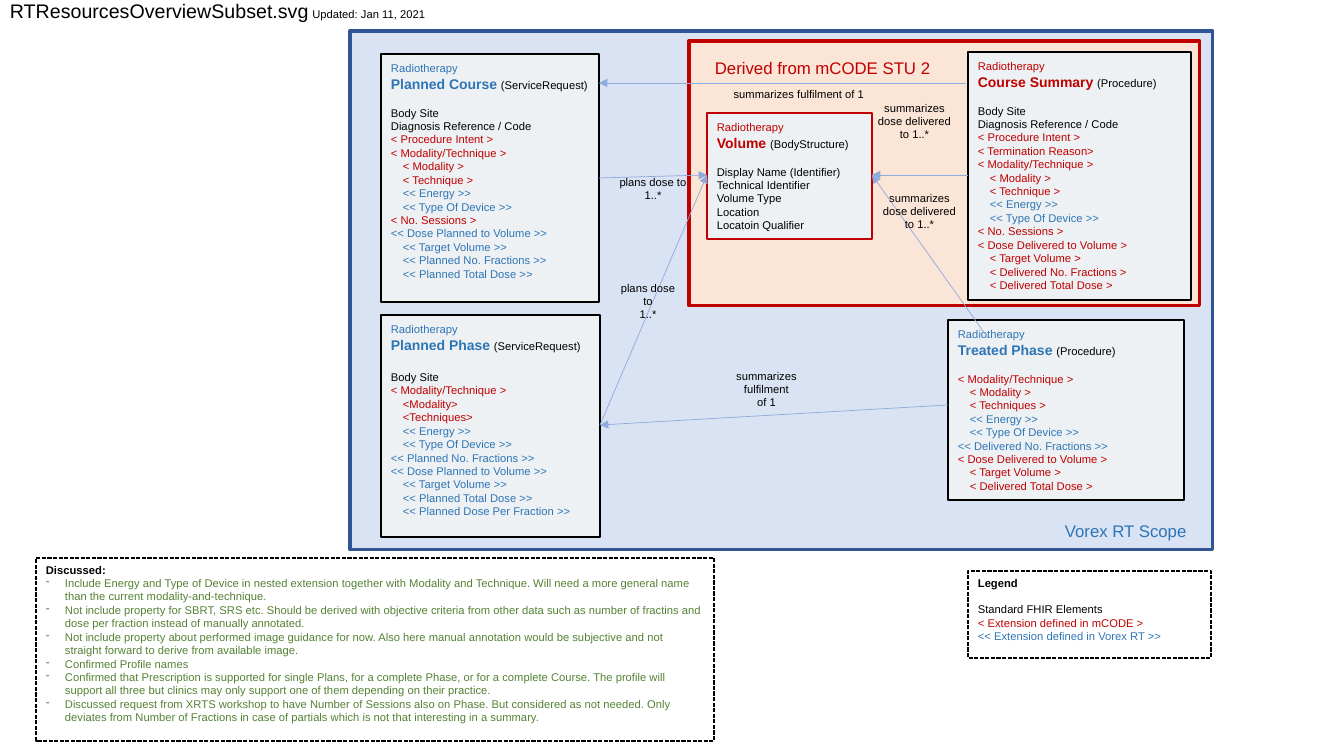
from lxml.etree import SubElement
from pptx import Presentation
from pptx.dml.color import RGBColor
from pptx.enum.dml import MSO_LINE
from pptx.enum.shapes import MSO_CONNECTOR, MSO_SHAPE
from pptx.enum.text import MSO_ANCHOR, PP_ALIGN
from pptx.oxml.ns import qn
from pptx.util import Pt

EMU_PER_PIXEL = 914400 / 100.8
BLACK = RGBColor(0x00, 0x00, 0x00)
RED = RGBColor(0xC0, 0x00, 0x00)
BLUE = RGBColor(0x2E, 0x75, 0xB6)
GREEN = RGBColor(0x54, 0x82, 0x35)
NAVY = RGBColor(0x2F, 0x55, 0x97)
ARROW_BLUE = RGBColor(0x8F, 0xAA, 0xDC)
SCOPE_FILL = RGBColor(0xDA, 0xE3, 0xF3)
DERIVED_FILL = RGBColor(0xFB, 0xE5, 0xD6)
CARD_FILL = RGBColor(0xED, 0xF1, 0xF3)

RESOURCES = [
    ((381, 54, 218, 248), "Planned Course ", "(ServiceRequest)", BLUE, BLACK, 9.5, """\
Body Site
Diagnosis Reference / Code
< Procedure Intent >
< Modality/Technique >
  < Modality >
  < Technique >
  << Energy >>
  << Type Of Device >>
< No. Sessions >
<< Dose Planned to Volume >>
  << Target Volume >>
  << Planned No. Fractions >>
  << Planned Total Dose >>"""),
    ((968, 52, 223, 248), "Course Summary ", "(Procedure)", RED, BLACK, 9.5, """\
Body Site
Diagnosis Reference / Code
< Procedure Intent >
< Termination Reason>
< Modality/Technique >
  < Modality >
  < Technique >
  << Energy >>
  << Type Of Device >>
< No. Sessions >
< Dose Delivered to Volume >
  < Target Volume >
  < Delivered No. Fractions >
  < Delivered Total Dose >"""),
    ((948, 320, 236, 180), "Treated Phase ", "(Procedure)", BLUE, BLACK, 9.5, """\
< Modality/Technique >
  < Modality >
  < Techniques >
  << Energy >>
  << Type Of Device >>
<< Delivered No. Fractions >>
< Dose Delivered to Volume >
  < Target Volume >
  < Delivered Total Dose >"""),
    ((381, 315, 219, 222), "Planned Phase ", "(ServiceRequest)", BLUE, BLACK, 12, """\
Body Site
< Modality/Technique >
  <Modality>
  <Techniques>
  << Energy >>
  << Type Of Device >>
<< Planned No. Fractions >>
<< Dose Planned to Volume >>
  << Target Volume >>
  << Planned Total Dose >>
  << Planned Dose Per Fraction >>"""),
    ((707, 113, 165, 126), "Volume ", "(BodyStructure)", RED, RED, 9.5, """\
Display Name (Identifier)
Technical Identifier
Volume Type
Location
Locatoin Qualifier"""),
]
RELATIONS = [
    (966, 83, 599, 83), (968, 175, 872, 175), (988, 338, 872, 175),
    (600, 425, 707, 175), (599, 178, 707, 175), (948, 405, 600, 425),
]
RELATION_LABELS = [
    ((713, 82, 172, 24), "summarizes fulfilment of 1"),
    ((870, 186, 99, 50), "summarizes dose delivered to 1..*"),
    ((865, 96, 99, 50), "summarizes dose delivered to 1..*"),
    ((606, 276, 84, 50), "plans dose to\n1..*"),
    ((609, 170, 88, 37), "plans dose to\n1..*"),
    ((717, 364, 99, 50), "summarizes fulfilment\nof 1"),
]
DECISIONS = [
    "Include Energy and Type of Device in nested extension together with Modality and "
    "Technique. Will need a more general name than the current modality-and-technique.",
    "Not include property for SBRT, SRS etc. Should be derived with objective criteria from "
    "other data such as number of fractins and dose per fraction instead of manually annotated.",
    "Not include property about performed image guidance for now. Also here manual annotation "
    "would be subjective and not straight forward to derive from available image.",
    "Confirmed Profile names",
    "Confirmed that Prescription is supported for single Plans, for a complete Phase, or for a "
    "complete Course. The profile will support all three but clinics may only support one of "
    "them depending on their practice.",
    "Discussed request from XRTS workshop to have Number of Sessions also on Phase. But "
    "considered as not needed. Only deviates from Number of Fractions in case of partials "
    "which is not that interesting in a summary.",
]
LEGEND = """\
Standard FHIR Elements
< Extension defined in mCODE >
<< Extension defined in Vorex RT >>"""


def px(*lengths):
    """Turn pixel lengths into a list of EMU."""
    return [round(length * EMU_PER_PIXEL) for length in lengths]


def write(frame, text, *, size=8, color=BLACK, bold=False, align=PP_ALIGN.LEFT, before=0,
          after=0, spacing=None, indent=0, bullet=None, joined=False):
    """Write a formatted paragraph, or join the text to the last one."""
    paragraph = frame.paragraphs[-1]
    if not joined:
        if paragraph.runs:
            paragraph = frame.add_paragraph()
        paragraph.alignment = align
        paragraph.space_before, paragraph.space_after = Pt(before), Pt(after)
        if spacing:
            paragraph.line_spacing = spacing
        properties = paragraph._p.get_or_add_pPr()
        margin = px(indent)[0]
        properties.set("marL", str(margin))
        properties.set("indent", str(-margin if bullet else 0))
        if bullet:
            SubElement(properties, qn("a:buChar")).set("char", bullet)
    run = paragraph.add_run()
    run.text = text
    run.font.name, run.font.size, run.font.bold = "Arial", Pt(size), bold
    run.font.color.rgb = color


def write_elements(frame, elements, gap):
    """Write element lines, coloured by the brackets that mark their origin."""
    for number, line in enumerate(elements.split("\n")):
        name = line.strip()
        color = BLUE if name.startswith("<<") else RED if name.startswith("<") else BLACK
        write(frame, name, color=color, indent=12 if line.startswith(" ") else 0,
              before=0 if number else gap)


def add_panel(slide, box, border, *, fill=None, width=1, dash=None):
    """Add a bordered rectangle and return its text frame."""
    panel = slide.shapes.add_shape(MSO_SHAPE.RECTANGLE, *px(*box))
    panel.shadow.inherit = False
    if fill is None:
        panel.fill.background()
    else:
        panel.fill.solid()
        panel.fill.fore_color.rgb = fill
    panel.line.color.rgb, panel.line.width = border, Pt(width)
    if dash:
        panel.line.dash_style = dash
    panel.text_frame.word_wrap = True
    panel.text_frame.vertical_anchor = MSO_ANCHOR.TOP
    return panel.text_frame


def add_resource(slide, box, title, kind, accent, border, gap, elements):
    """Add a resource card with its heading and elements."""
    card = add_panel(slide, box, border, fill=CARD_FILL)
    write(card, "Radiotherapy", color=accent)
    write(card, " ", size=10, joined=True)
    write(card, title, size=10, color=accent, bold=True)
    write(card, kind, joined=True)
    write_elements(card, elements, gap)


def add_relation(slide, ends):
    """Add a thin arrow between two resources."""
    arrow = slide.shapes.add_connector(MSO_CONNECTOR.STRAIGHT, *px(*ends))
    arrow.line.color.rgb, arrow.line.width = ARROW_BLUE, Pt(0.5)
    SubElement(arrow.line._get_or_add_ln(), qn("a:tailEnd")).set("type", "triangle")
    SubElement(arrow._element.spPr, qn("a:effectLst"))


def add_label(slide, box, text, **style):
    """Add a wrapped text box with one paragraph per line and return its frame."""
    frame = slide.shapes.add_textbox(*px(*box)).text_frame
    frame.word_wrap = True
    for line in text.split("\n"):
        write(frame, line, **style)
    return frame


def main():
    """Build the resource overview slide."""
    deck = Presentation()
    deck.slide_width, deck.slide_height = px(1344, 756)
    slide = deck.slides.add_slide(deck.slide_layouts[6])

    add_panel(slide, (350, 31, 863, 519), NAVY, fill=SCOPE_FILL, width=2.25)
    add_panel(slide, (689, 41, 511, 265), RED, fill=DERIVED_FILL, width=2.25)
    for resource in RESOURCES:
        add_resource(slide, *resource)
    for ends in RELATIONS:
        add_relation(slide, ends)
    for box, text in RELATION_LABELS:
        add_label(slide, box, text, align=PP_ALIGN.CENTER)

    caption = dict(size=12, spacing=1.5, before=10, after=10)
    add_label(slide, (1055, 506, 170, 53), "Vorex RT Scope", color=BLUE, **caption)
    add_label(slide, (705, 43, 237, 53), "Derived from mCODE STU 2", color=RED, **caption)
    heading = add_label(slide, (0, -3, 1240, 69), "RTResourcesOverviewSubset.svg\t",
                        size=14, spacing=0.9)
    write(heading, "Updated: Jan 11, 2021", joined=True)

    legend = add_panel(slide, (968, 571, 243, 87), BLACK, dash=MSO_LINE.SQUARE_DOT)
    write(legend, "Legend", bold=True)
    write_elements(legend, LEGEND, 9.5)
    discussed = add_panel(slide, (36, 558, 678, 183), BLACK, dash=MSO_LINE.SQUARE_DOT)
    write(discussed, "Discussed:", bold=True)
    for decision in DECISIONS:
        write(discussed, decision, color=GREEN, indent=19, bullet="-")
    deck.save("out.pptx")


main()
